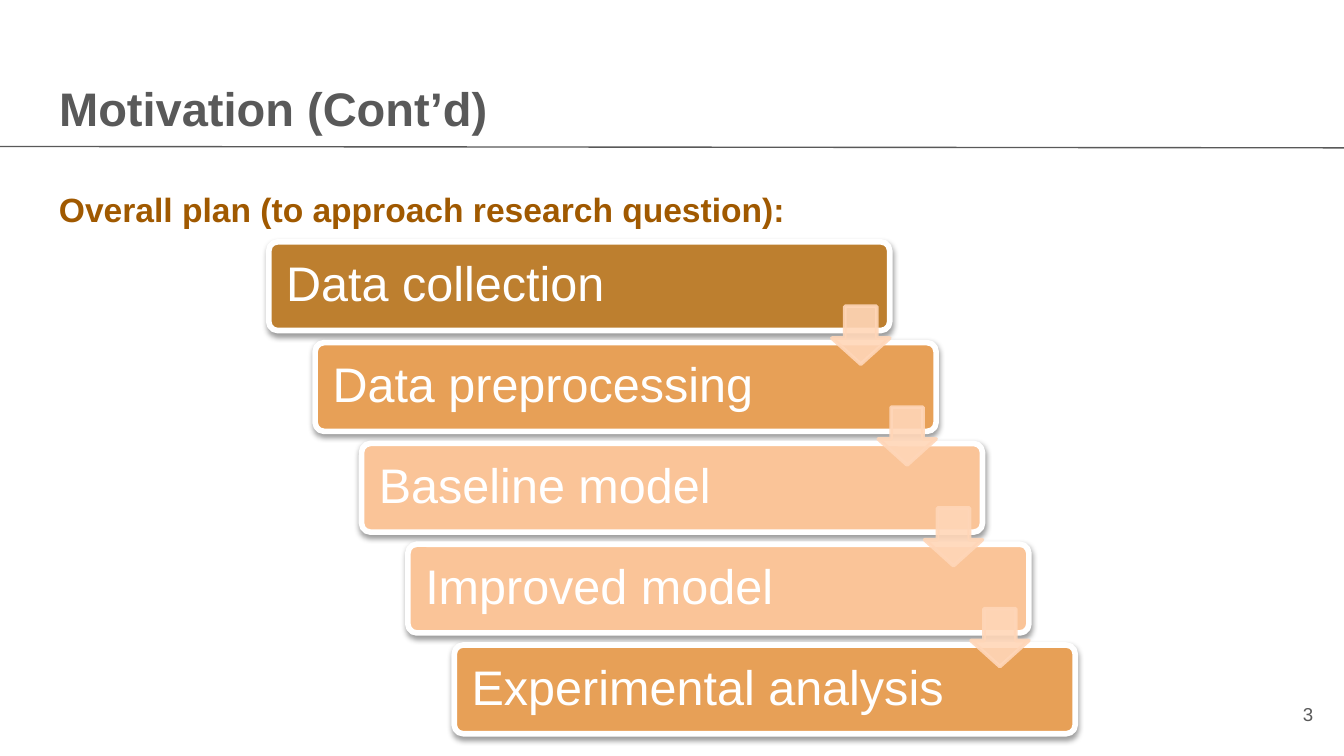
from lxml.etree import SubElement
from pptx import Presentation
from pptx.dml.color import RGBColor
from pptx.enum.shapes import MSO_CONNECTOR, MSO_SHAPE
from pptx.enum.text import MSO_ANCHOR as Anchor, MSO_AUTO_SIZE, PP_ALIGN as Align
from pptx.oxml.ns import qn
from pptx.util import Inches, Pt

WIDTH = 10
HEIGHT = WIDTH * 9 / 16
MARGIN = 0.34
GRAY, BROWN, WHITE, PEACH = "595959", "A05900", "FFFFFF", "FFD6B8"
STEPS = [
    ("Data collection", "BD7F2F"),
    ("Data preprocessing", "E7A057"),
    ("Baseline model", "FAC498"),
    ("Improved model", "FAC498"),
    ("Experimental analysis", "E7A057"),
]
STEP_LEFT, STEP_TOP = 2, 1.8
STEP_WIDTH, STEP_HEIGHT = 4.62, 0.66
LAST_LEFT = 3.38
SHIFT_X, SHIFT_Y = (LAST_LEFT - STEP_LEFT) / (len(STEPS) - 1), 0.75
ARROW_SIZE = 0.43
ARROW_DROP = 0.48


def color(hex_text):
    return RGBColor.from_string(hex_text)


def inches(*lengths):
    return [Inches(length) for length in lengths]


def place(shape, left, top, width, height):
    shape.left, shape.top, shape.width, shape.height = inches(left, top, width, height)


def write(shape, text, size, hex_text, bold=False, align=Align.LEFT,
          anchor=Anchor.TOP, spacing=1.0, inset=0.1):
    frame = shape.text_frame
    frame.word_wrap = True
    frame.auto_size = MSO_AUTO_SIZE.NONE
    frame.vertical_anchor = anchor
    frame.margin_left = frame.margin_right = Inches(inset)
    frame.margin_top = frame.margin_bottom = Inches(inset)
    para = frame.paragraphs[0]
    para.alignment = align
    para.line_spacing = spacing
    span = para.add_run()
    span.text = text
    span.font.name = "Arial"
    span.font.size = Pt(size)
    span.font.bold = bold
    span.font.color.rgb = color(hex_text)


def add_text(page, area, *args, **kwargs):
    write(page.shapes.add_textbox(*inches(*area)), *args, **kwargs)


def add_rule(page, left_y, right_y):
    rule = page.shapes.add_connector(
        MSO_CONNECTOR.STRAIGHT, *inches(-0.01, left_y, WIDTH + 0.01, right_y))
    rule.line.color.rgb = color(GRAY)
    rule.line.width = Pt(0.75)
    SubElement(rule._element.spPr, qn("a:effectLst"))


def add_filled(page, kind, area, fill, line, line_width):
    shape = page.shapes.add_shape(kind, *inches(*area))
    shape.fill.solid()
    shape.fill.fore_color.rgb = color(fill)
    shape.line.color.rgb = color(line)
    shape.line.width = Pt(line_width)
    shape.shadow.inherit = False
    return shape


def set_alpha(color_element, percent):
    SubElement(color_element, qn("a:alpha"), val=str(percent * 1000))


def add_drop_shadow(shape):
    effects = shape._element.spPr.find(qn("a:effectLst"))
    shadow = SubElement(effects, qn("a:outerShdw"), blurRad=str(Pt(3.1)),
                        dist=str(Pt(1.6)), dir="5400000", rotWithShape="0")
    set_alpha(SubElement(shadow, qn("a:srgbClr"), val="000000"), 38)


def add_step(page, index, text, fill):
    area = (STEP_LEFT + index * SHIFT_X, STEP_TOP + index * SHIFT_Y,
            STEP_WIDTH, STEP_HEIGHT)
    step = add_filled(page, MSO_SHAPE.ROUNDED_RECTANGLE, area, fill, WHITE, 3)
    step.adjustments[0] = 0.1
    add_drop_shadow(step)
    write(step, text, 26, WHITE, anchor=Anchor.MIDDLE, spacing=0.9, inset=0.11)


def add_step_arrow(page, index):
    """Arrow at the right end of a step, pointing to the next one."""
    left = STEP_LEFT + index * SHIFT_X + STEP_WIDTH - ARROW_SIZE
    top = STEP_TOP + index * SHIFT_Y + ARROW_DROP
    arrow = add_filled(page, MSO_SHAPE.DOWN_ARROW,
                       (left, top, ARROW_SIZE, ARROW_SIZE), PEACH, PEACH, 2)
    arrow.adjustments[0] = 0.55
    arrow.adjustments[1] = 0.45
    for color_element in arrow._element.spPr.iter(qn("a:srgbClr")):
        set_alpha(color_element, 90)


def main():
    deck = Presentation()
    deck.slide_width, deck.slide_height = inches(WIDTH, HEIGHT)
    page = deck.slides.add_slide(deck.slide_layouts[5])

    title = page.shapes.title
    place(title, MARGIN, 0.49, WIDTH - 2 * MARGIN, 0.63)
    write(title, "Motivation (Cont’d)", 25.2, GRAY, bold=True)
    add_text(page, (MARGIN, 1.26, WIDTH - 2 * MARGIN, 3.74),
             "Overall plan (to approach research question):", 18, BROWN,
             bold=True, spacing=1.15)
    add_rule(page, 1.09, 1.1)
    add_text(page, (9.27, 5.1, 0.6, 0.43), "3", 10, GRAY,
             align=Align.RIGHT, anchor=Anchor.MIDDLE)

    for index, (text, fill) in enumerate(STEPS):
        add_step(page, index, text, fill)
    for index in range(len(STEPS) - 1):
        add_step_arrow(page, index)

    deck.save("out.pptx")


if __name__ == "__main__":
    main()
